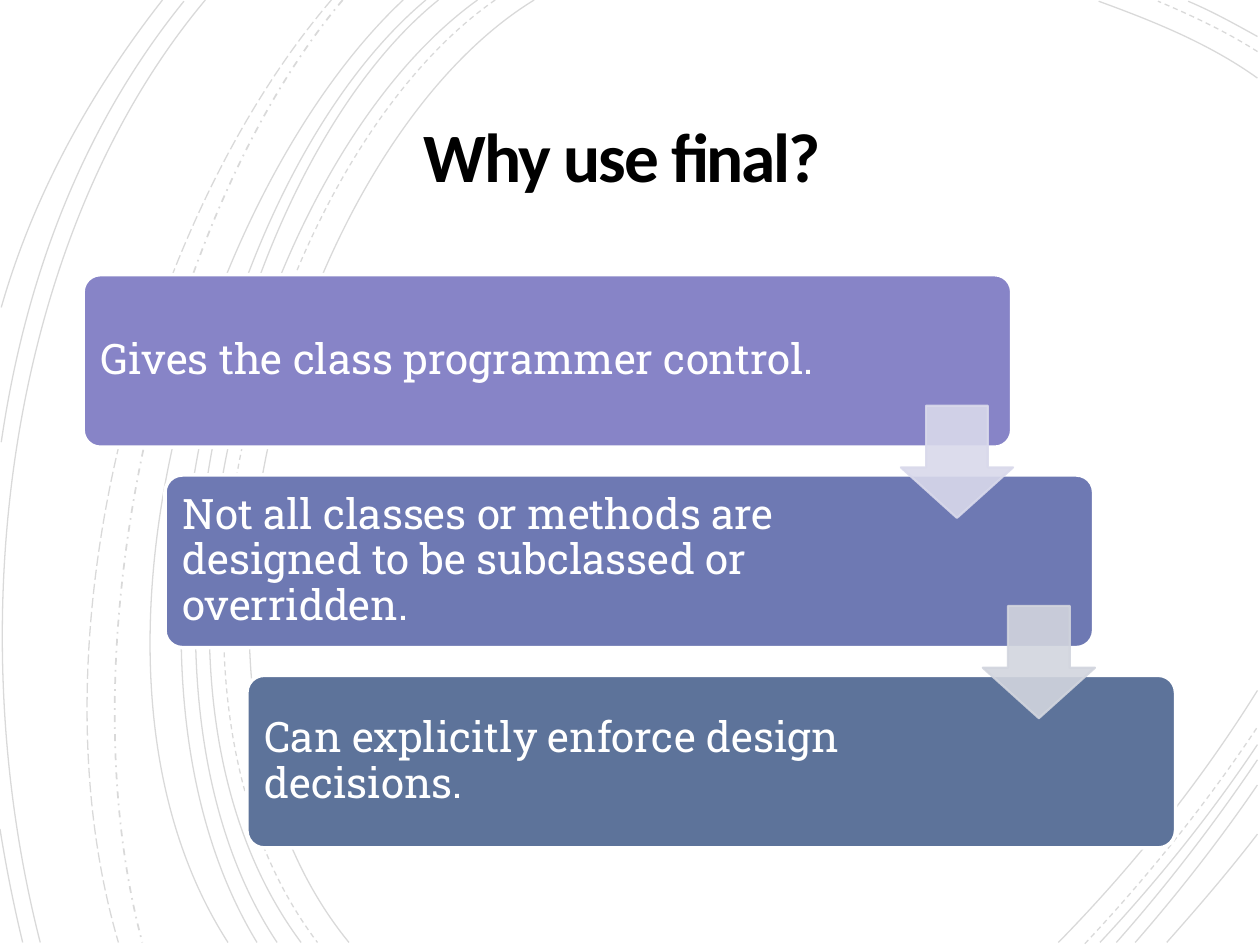
from lxml.etree import SubElement
from pptx import Presentation
from pptx.dml.color import RGBColor
from pptx.enum.dml import MSO_LINE
from pptx.enum.shapes import MSO_SHAPE
from pptx.enum.text import MSO_ANCHOR, MSO_AUTO_SIZE, PP_ALIGN
from pptx.oxml.ns import qn
from pptx.util import Inches, Pt

COLORS = {"black": "000000", "white": "FFFFFF", "violet": "8784C7", "indigo": "6E79B3",
          "slate": "5D739A", "lilac": "D9D9EB", "mist": "D2D5DE"}
TITLE = "Why use final?"
STEPS = [
    ("Gives the class programmer control.", "violet", 5.9),
    ("Not all classes or methods are designed to be subclassed or overridden.", "indigo", 5.75),
    ("Can explicitly enforce design decisions.", "slate", 5.75),
]
ARROWS = ["lilac", "mist"]
CURVES = {
    (MSO_LINE.SOLID, 0.75): [
        [(4.24, 0), (2.36, 1.15), (1.07, 5.4), (2.77, 7.48)],
        [(9.98, 0.62), (9.59, 0.34), (9.13, 0.16), (8.72, 0.01)],
        [(8.4, 7.48), (8.97, 6.9), (9.52, 6.22), (9.98, 5.48)],
        [(3.79, 0), (2.02, 1.27), (0.82, 5.37), (2.39, 7.48)],
        [(9.98, 0.29), (9.8, 0.19), (9.62, 0.09), (9.43, 0.01)],
        [(8.73, 7.48), (9.17, 7.01), (9.6, 6.48), (9.98, 5.91)],
        [(3.48, 0), (1.83, 1.33), (0.82, 5.41), (2.2, 7.48)],
        [(8.86, 7.48), (9.25, 7.04), (9.63, 6.55), (9.98, 6.03)],
        [(3.38, 0), (1.73, 1.38), (0.73, 5.33), (2.04, 7.48)],
        [(9.01, 7.48), (9.35, 7.09), (9.68, 6.67), (9.98, 6.23)],
        [(3.2, 0), (1.63, 1.47), (0.4, 5.29), (1.81, 7.48)],
        [(9.26, 7.48), (9.5, 7.21), (9.75, 6.92), (9.98, 6.62)],
        [(1.63, 0), (0.08, 1.85), (-0.34, 4.9), (0.32, 7.48)],
        [(1.46, 0.01), (0.69, 0.96), (0.21, 2.14), (0.01, 3.51)],
        [(0, 6.58), (0.05, 6.89), (0.11, 7.19), (0.18, 7.48)],
        [(1.29, 0), (0.75, 0.69), (0.28, 1.5), (0.01, 2.44)],
    ],
    (MSO_LINE.DASH, 0.75): [
        [(3.93, 0), (2.13, 1.25), (0.92, 5.37), (2.52, 7.48)],
        [(9.98, 0.41), (9.73, 0.25), (9.45, 0.12), (9.19, 0.01)],
        [(8.61, 7.49), (9.09, 6.98), (9.56, 6.4), (9.98, 5.77)],
    ],
    (MSO_LINE.DASH_DOT, 1): [[(2.72, 0), (1.32, 1.66), (0.49, 5.09), (1.13, 7.48)]],
    (MSO_LINE.LONG_DASH, 0.75): [[(2.63, 0), (1.18, 1.69), (0.21, 4.99), (0.94, 7.48)]],
}


def paint(fill, name, alpha=100):
    fill.solid()
    fill.fore_color.rgb = RGBColor.from_string(COLORS[name])
    if alpha < 100:
        color = fill._xPr.find(qn("a:solidFill"))[0]
        SubElement(color, qn("a:alpha"), val=str(alpha * 1000))


def stroke(shape, name, width, alpha=100):
    shape.shadow.inherit = False
    shape.line.width = Pt(width)
    paint(shape.line.fill, name, alpha)


def arc(shapes, curve, dash, width):
    dots = [tuple(map(Inches, dot)) for dot in curve]
    pen = shapes.build_freeform(*dots[0])
    pen.add_line_segments(dots[1:], close=False)
    shape = pen.convert_to_shape()
    steps = list(shape._element.iter(qn("a:lnTo")))
    bend = SubElement(steps[0].getparent(), qn("a:cubicBezTo"))
    for step in steps:
        bend.append(step[0])
        step.getparent().remove(step)
    shape.fill.background()
    stroke(shape, "black", width, 15)
    shape.line.dash_style = dash


def block(shapes, kind, box, adjust, name, edge, width, alpha=100):
    shape = shapes.add_shape(kind, *map(Inches, box))
    for i, value in enumerate(adjust):
        shape.adjustments[i] = value
    paint(shape.fill, name, alpha)
    stroke(shape, edge, width, alpha)


def write(shape, text, insets, face, size, color, space):
    frame = shape.text_frame
    frame.word_wrap = True
    frame.auto_size = MSO_AUTO_SIZE.NONE
    frame.vertical_anchor = MSO_ANCHOR.MIDDLE
    (frame.margin_left, frame.margin_top,
     frame.margin_right, frame.margin_bottom) = map(Inches, insets)
    frame.text = text
    para = frame.paragraphs[0]
    para.line_spacing = space
    para.font.name = face
    para.font.size = Pt(size)
    para.font.color.rgb = RGBColor.from_string(COLORS[color])
    return para


def main():
    deck = Presentation()
    deck.slide_width, deck.slide_height = Inches(10), Inches(7.5)
    slide = deck.slides.add_slide(deck.slide_layouts[5])
    shapes = slide.shapes
    paint(slide.background.fill, "white")

    for (dash, width), curves in CURVES.items():
        for curve in curves:
            arc(shapes, curve, dash, width)

    title = shapes.title
    title.left, title.top, title.width, title.height = map(Inches, (1.44, 0.87, 7.11, 1.15))
    para = write(title, TITLE, (0.25, 0.25, 0.36, 0.58), "Calibri", 39.6, "black", 0.85)
    para.alignment = PP_ALIGN.CENTER
    para.font.bold = True
    para.font._element.set("spc", "-110")

    left, top, right, down = 0.66, 2.18, 0.65, 1.59
    for i, (text, color, width) in enumerate(STEPS):
        x, y = left + i * right, top + i * down
        block(shapes, MSO_SHAPE.ROUNDED_RECTANGLE, (x, y, 7.37, 1.37), [0.1], color, "white", 2)
        label = shapes.add_textbox(*map(Inches, (x + 0.04, y + 0.04, width, 1.29)))
        write(label, text, [0.1] * 4, "Roboto Slab", 24, "white", 0.9)

    for i, color in enumerate(ARROWS):
        box = (7.15 + i * right, 3.22 + i * down, 0.89, 0.89)
        block(shapes, MSO_SHAPE.DOWN_ARROW, box, [0.55, 0.45], color, color, 1.25, 90)

    deck.save("out.pptx")


if __name__ == "__main__":
    main()
